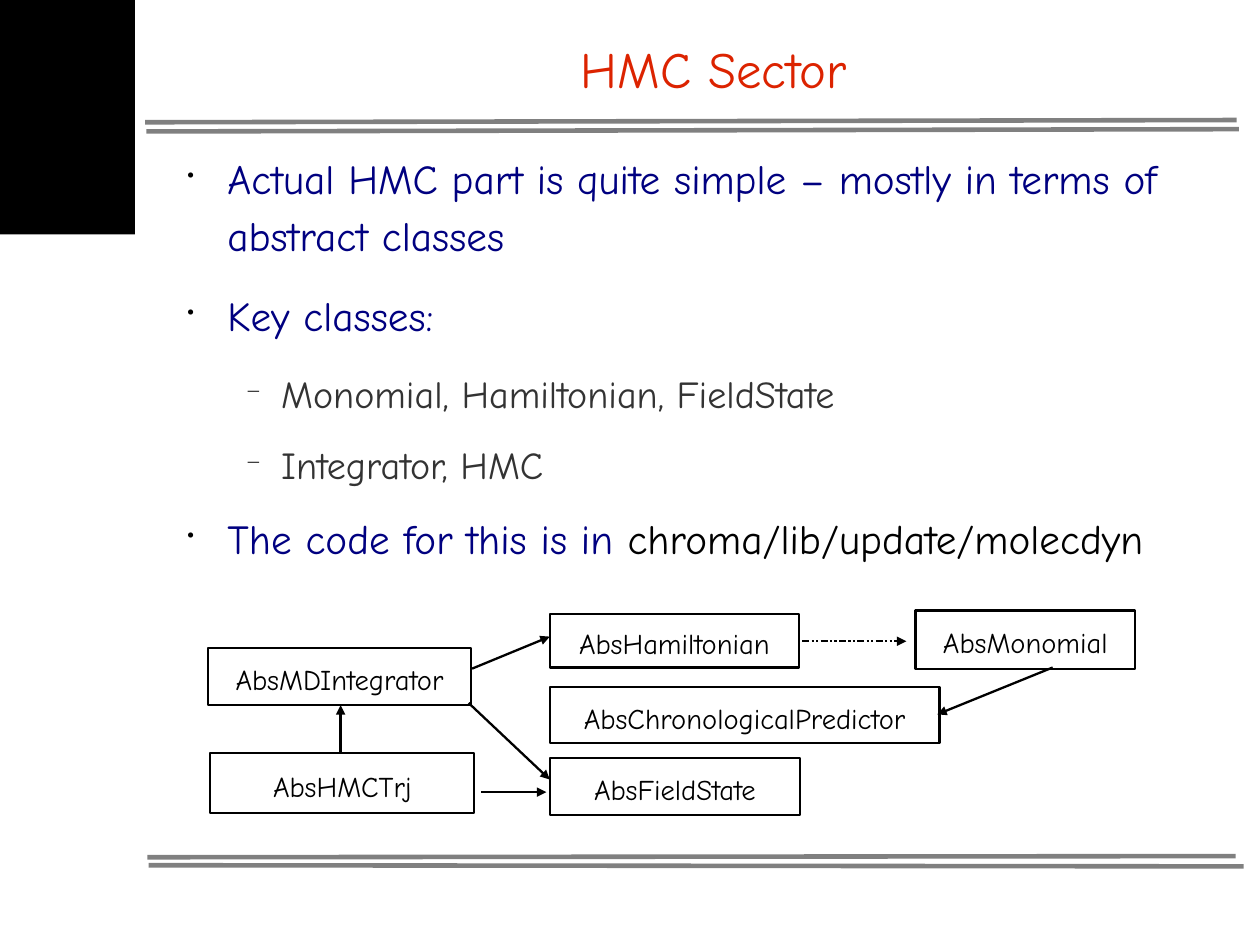
from dataclasses import dataclass

from lxml.etree import SubElement
from pptx import Presentation
from pptx.dml.color import RGBColor as Color
from pptx.enum.shapes import MSO_CONNECTOR as Link, MSO_SHAPE as Shape
from pptx.enum.text import MSO_ANCHOR as Anchor, PP_ALIGN as Align
from pptx.oxml.ns import qn
from pptx.util import Inches, Pt


@dataclass(frozen=True)
class Theme:
    face: str = "Comic Neue"
    black: str = "000000"
    grey: str = "808080"
    red: str = "DC2300"
    navy: str = "000080"
    dark: str = "333333"
    title: int = 32
    point: int = 26
    sub: int = 24
    label: int = 18
    rule: float = 2.89
    edge: float = 1.45
    lead: float = 1.16


@dataclass(frozen=True)
class Level:
    size: int
    color: str
    mark: str
    scale: int
    left: float
    hang: float
    after: float


THEME = Theme()
MAIN = Level(THEME.point, THEME.navy, "•", 48, 0.47, 0.35, 14.3)
SUB = Level(THEME.sub, THEME.dark, "−", 52, 0.94, 0.31, 11.4)

POINTS = [
    (MAIN, [("Actual HMC part is quite simple – mostly in terms of abstract classes", THEME.navy)]),
    (MAIN, [("Key classes:", THEME.navy)]),
    (SUB, [("Monomial, Hamiltonian, FieldState", THEME.dark)]),
    (SUB, [("Integrator, HMC", THEME.dark)]),
    (MAIN, [("The code for this is in ", THEME.navy),
            ("chroma/lib/update/molecdyn", THEME.black)]),
]
RULES = [
    (1.27, 1.07, 10.82, 1.05),
    (1.28, 1.15, 10.84, 1.13),
    (1.29, 7.5, 10.81, 7.49),
    (1.3, 7.57, 10.88, 7.58),
]
BOXES = [
    ("AbsMonomial", 8.01, 5.34, 1.92, 0.51),
    ("AbsHamiltonian", 4.81, 5.37, 2.18, 0.47),
    ("AbsFieldState", 4.81, 6.63, 2.19, 0.5),
    ("AbsMDIntegrator", 1.82, 5.67, 2.3, 0.5),
    ("AbsHMCTrj", 1.84, 6.59, 2.31, 0.52),
    ("AbsChronologicalPredictor", 4.81, 6.01, 3.41, 0.49),
]
ARROWS = [
    ((4.13, 5.85, 4.81, 5.57), None),
    ((4.1, 6.15, 4.81, 6.82), None),
    ((2.98, 6.59, 2.98, 6.17), None),
    ((7.02, 5.61, 7.93, 5.61), "sysDashDotDot"),
    ((4.21, 6.93, 4.78, 6.93), None),
    ((9.21, 5.84, 8.2, 6.25), None),
]


def inch(*nums):
    return [Inches(num) for num in nums]


def style(para, size, color):
    para.line_spacing = THEME.lead
    para.font.name = THEME.face
    para.font.size = Pt(size)
    para.font.color.rgb = Color.from_string(color)


def inset(frame, side=0, top=0):
    frame.word_wrap = True
    frame.margin_left = frame.margin_right = Inches(side)
    frame.margin_top = frame.margin_bottom = Inches(top)


def add_title(slide, text):
    title = slide.shapes.title
    title.left, title.top, title.width, title.height = inch(1.57, 0.11, 9.35, 0.88)
    frame = title.text_frame
    inset(frame)
    frame.vertical_anchor = Anchor.MIDDLE
    frame.text = text
    para = frame.paragraphs[0]
    para.alignment = Align.CENTER
    style(para, THEME.title, THEME.red)


def add_mark(para, level):
    props = para._p.get_or_add_pPr()
    props.set("marL", str(Inches(level.left)))
    props.set("indent", str(-Inches(level.hang)))
    tint = SubElement(props, qn("a:buClr"))
    SubElement(tint, qn("a:srgbClr"), val=THEME.black)
    SubElement(props, qn("a:buSzPct"), val=str(level.scale * 1000))
    SubElement(props, qn("a:buChar"), char=level.mark)


def add_points(slide):
    frame = slide.shapes.add_textbox(*inch(1.52, 1.27, 9.34, 3.92)).text_frame
    inset(frame)
    for i, (level, parts) in enumerate(POINTS):
        para = frame.add_paragraph() if i else frame.paragraphs[0]
        para.level = int(level is SUB)
        para.space_after = Pt(level.after)
        add_mark(para, level)
        style(para, level.size, level.color)
        for text, color in parts:
            run = para.add_run()
            run.text = text
            if color != level.color:
                run.font.color.rgb = Color.from_string(color)


def add_bar(slide):
    bar = slide.shapes.add_shape(Shape.RECTANGLE, *inch(0, 0, 1.18, 2.05))
    bar.shadow.inherit = False
    bar.fill.solid()
    bar.fill.fore_color.rgb = Color.from_string(THEME.black)
    bar.line.fill.background()


def add_box(slide, text, *place):
    box = slide.shapes.add_shape(Shape.ROUNDED_RECTANGLE, *inch(*place))
    box.adjustments[0] = 0
    box.shadow.inherit = False
    box.fill.background()
    box.line.color.rgb = Color.from_string(THEME.black)
    box.line.width = Pt(THEME.edge)
    frame = box.text_frame
    inset(frame, 0.11, 0.06)
    frame.vertical_anchor = Anchor.MIDDLE
    frame.text = text
    para = frame.paragraphs[0]
    para.alignment = Align.CENTER
    style(para, THEME.label, THEME.black)


def add_line(slide, ends, color, width):
    line = slide.shapes.add_connector(Link.STRAIGHT, *inch(*ends))
    line.line.color.rgb = Color.from_string(color)
    line.line.width = Pt(width)
    SubElement(line._element.spPr, qn("a:effectLst"))
    return line


def add_arrow(slide, ends, dash):
    arrow = add_line(slide, ends, THEME.black, THEME.edge)
    props = arrow.line._get_or_add_ln()
    if dash:
        SubElement(props, qn("a:prstDash"), val=dash)
    SubElement(props, qn("a:tailEnd"), type="triangle")


def main():
    """Build the HMC Sector slide and save it."""
    deck = Presentation()
    deck.slide_width, deck.slide_height = inch(28 / 2.54, 21 / 2.54)
    slide = deck.slides.add_slide(deck.slide_layouts[5])
    for ends in RULES:
        add_line(slide, ends, THEME.grey, THEME.rule)
    add_bar(slide)
    add_title(slide, "HMC Sector")
    add_points(slide)
    for box in BOXES:
        add_box(slide, *box)
    for ends, dash in ARROWS:
        add_arrow(slide, ends, dash)
    deck.save("out.pptx")


if __name__ == "__main__":
    main()
